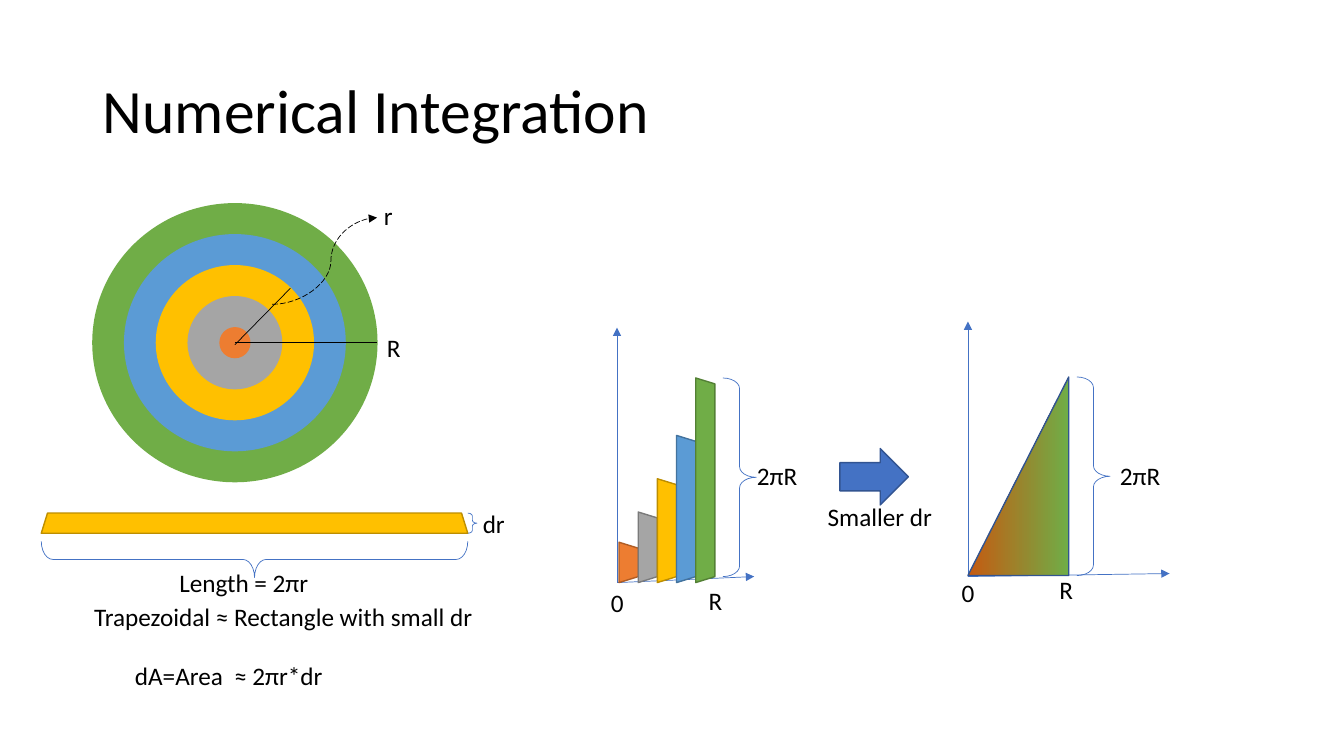
import pptx
import pptx.dml.color
import pptx.enum.dml
import pptx.enum.shapes
import pptx.enum.text
import pptx.oxml.ns
import pptx.oxml.xmlchemy
import pptx.util

Inches = pptx.util.Inches
Kind = pptx.enum.shapes.MSO_SHAPE
Connector = pptx.enum.shapes.MSO_CONNECTOR
Align = pptx.enum.text.PP_ALIGN

COLOURS = {
    "black": "000000", "blue": "4472C4", "blue edge": "325491",
    "orange": "ED7D31", "orange edge": "AF5C24",
    "grey": "A5A5A5", "grey edge": "7A7A7A",
    "gold": "FFC000", "gold edge": "BD8E00",
    "sky": "5B9BD5", "sky edge": "43739E",
    "green": "70AD47", "green edge": "538035", "rust": "C55A11",
}
RING_COLOURS = ["orange", "grey", "gold", "sky", "green"]
BAR_LENGTHS = [0.4, 0.7, 1.03, 1.46, 2.03]


def colour(name):
    """Return the named colour as an RGB value."""
    return pptx.dml.color.RGBColor.from_string(COLOURS[name])


def make_element(tag, **attributes):
    """Return a new XML element with its attributes."""
    element = pptx.oxml.xmlchemy.OxmlElement(tag)
    for key, value in attributes.items():
        element.set(key, value)
    return element


def write_text(frame, text, size=18, align=Align.LEFT, spacing=None):
    """Write one formatted paragraph into a text frame."""
    para = frame.paragraphs[0]
    para.alignment = align
    para.line_spacing = spacing
    span = para.add_run()
    span.text = text
    span.font.size = pptx.util.Pt(size)
    span.font.name = "Calibri"
    span.font.color.rgb = colour("black")


def add_label(shapes, text, left, top, width=0.33, **text_format):
    """Add a one-line text box."""
    box = shapes.add_textbox(Inches(left), Inches(top), Inches(width), Inches(0.4))
    box.text_frame.word_wrap = True
    box.text_frame.auto_size = pptx.enum.text.MSO_AUTO_SIZE.SHAPE_TO_FIT_TEXT
    write_text(box.text_frame, text, **text_format)


def add_figure(shapes, kind, left, top, width, height, turn=0,
               fill=None, edge=None, weight=1, adjust=()):
    """Add a preset shape that covers the given area after its turn."""
    wide, high = (height, width) if turn in (90, 270) else (width, height)
    figure = shapes.add_shape(
        kind, Inches(left + (width - wide) / 2), Inches(top + (height - high) / 2),
        Inches(wide), Inches(high))
    figure.rotation = turn
    figure.shadow.inherit = False
    for index, value in enumerate(adjust):
        figure.adjustments[index] = value
    if fill:
        figure.fill.solid()
        figure.fill.fore_color.rgb = colour(fill)
    else:
        figure.fill.background()
    if edge:
        figure.line.color.rgb = colour(edge)
        figure.line.width = pptx.util.Pt(weight)
    else:
        figure.line.fill.background()
    return figure


def add_brace(shapes, left, top, width, height, turn=180):
    """Add a thin curly brace."""
    add_figure(shapes, Kind.LEFT_BRACE, left, top, width, height, turn=turn,
               edge="blue", weight=0.5, adjust=(0.32, 0.5))


def add_strip(shapes, left, top, width, height, name, turn=0):
    """Add an unrolled ring as a trapezoid with a darker edge."""
    add_figure(shapes, Kind.TRAPEZOID, left, top, width, height, turn=turn,
               fill=name, edge=name + " edge", adjust=(0.31,))


def add_line(shapes, start, end, name="black", arrow=False, kind=Connector.STRAIGHT):
    """Add a thin line, with an arrowhead at its end if asked."""
    line = shapes.add_connector(kind, *map(Inches, start + end))
    line.line.color.rgb = colour(name)
    line.line.width = pptx.util.Pt(0.5)
    properties = line._element.spPr
    if arrow:
        properties.get_or_add_ln().append(make_element("a:tailEnd", type="triangle"))
    properties.append(make_element("a:effectLst"))
    return line


def add_axes(shapes, origin, top, end):
    """Add a pair of arrows from the origin."""
    add_line(shapes, origin, (origin[0], top), "blue", arrow=True)
    add_line(shapes, origin, end, "blue", arrow=True)


def draw_circle(page):
    """Draw the concentric rings with both radii."""
    rings = page.shapes.add_group_shape().shapes
    for index, name in reversed(list(enumerate(RING_COLOURS))):
        width, height = 0.31 + 0.63 * index, 0.31 + 0.615 * index
        add_figure(rings, Kind.OVAL, 2.33 - width / 2, 3.4 - height / 2,
                   width, height, fill=name)
    add_line(page.shapes, (2.33, 3.4), (3.74, 3.4))
    add_label(page.shapes, "R", 3.74, 3.25)
    add_line(page.shapes, (2.33, 3.42), (2.88, 2.86))
    pointer = add_line(page.shapes, (2.7, 3.02), (3.74, 2.16), arrow=True,
                       kind=Connector.CURVE)
    pointer.line.dash_style = pptx.enum.dml.MSO_LINE.LONG_DASH
    geometry = pointer._element.spPr.find(pptx.oxml.ns.qn("a:prstGeom"))
    geometry.get_or_add_avLst().append(
        make_element("a:gd", name="adj1", fmla="val 56000"))
    add_label(page.shapes, "r", 3.71, 1.94)


def draw_unrolled_ring(page):
    """Draw one ring as a flat strip with its measures."""
    strip = page.shapes.add_group_shape().shapes
    add_strip(strip, 0.41, 5.09, 4.23, 0.2, "gold")
    add_brace(strip, 0.41, 5.37, 4.23, 0.36, turn=270)
    add_label(strip, "Length = 2πr", 1.68, 5.58, 1.51)
    add_brace(strip, 4.64, 5.09, 0.09, 0.2)
    add_label(strip, "dr", 4.69, 4.99, 0.67)
    add_label(strip, "Trapezoidal ≈ Rectangle with small dr", 0.41, 5.92, 4.8,
              align=Align.CENTER)
    add_label(page.shapes, "dA=Area  ≈ 2πr*dr", 1.24, 6.5, 3)


def draw_bars(page):
    """Draw the strips side by side along the radius axis."""
    add_axes(page.shapes, (6.12, 5.78), 3.25, (7.48, 5.72))
    for index, (name, length) in enumerate(zip(RING_COLOURS, BAR_LENGTHS)):
        add_strip(page.shapes, 6.14 + 0.19 * index, 5.78 - length, 0.19, length,
                  name, turn=90)
    add_brace(page.shapes, 7.17, 3.75, 0.33, 1.97)
    add_label(page.shapes, "0", 5.96, 5.78)
    add_label(page.shapes, "R", 6.93, 5.76)
    add_label(page.shapes, "2πR", 7.41, 4.52, 0.67)


def draw_triangle(page):
    """Draw the limit of the bars as a shaded triangle."""
    add_axes(page.shapes, (9.6, 5.72), 3.19, (11.6, 5.69))
    triangle = add_figure(page.shapes, Kind.RIGHT_TRIANGLE, 9.6, 3.74, 1, 1.97,
                          turn=270, edge="blue edge")
    triangle.fill.gradient()
    triangle.fill.gradient_angle = 270
    for stop, name in zip(triangle.fill.gradient_stops, ["rust", "green"]):
        stop.color.rgb = colour(name)
    add_brace(page.shapes, 10.68, 3.74, 0.33, 1.97)
    add_label(page.shapes, "0", 9.44, 5.68)
    add_label(page.shapes, "R", 10.41, 5.65)
    add_label(page.shapes, "2πR", 11.01, 4.52, 0.67)


def main():
    """Build the slide and save it."""
    deck = pptx.Presentation()
    deck.slide_width, deck.slide_height = Inches(13.33), Inches(7.5)
    page = deck.slides.add_slide(deck.slide_layouts.get_by_name("Title Only"))
    title = page.shapes.title
    title.left, title.top = Inches(0.92), Inches(0.4)
    title.width, title.height = Inches(11.5), Inches(1.45)
    title.text_frame.vertical_anchor = pptx.enum.text.MSO_ANCHOR.MIDDLE
    write_text(title.text_frame, "Numerical Integration", size=44, spacing=0.9)

    draw_circle(page)
    draw_unrolled_ring(page)
    draw_bars(page)
    add_figure(page.shapes, Kind.UP_ARROW, 8.33, 4.45, 0.68, 0.56, turn=90,
               fill="blue", edge="blue edge")
    add_label(page.shapes, "Smaller dr", 8.11, 4.92, 1.27)
    draw_triangle(page)
    deck.save("out.pptx")


main()
